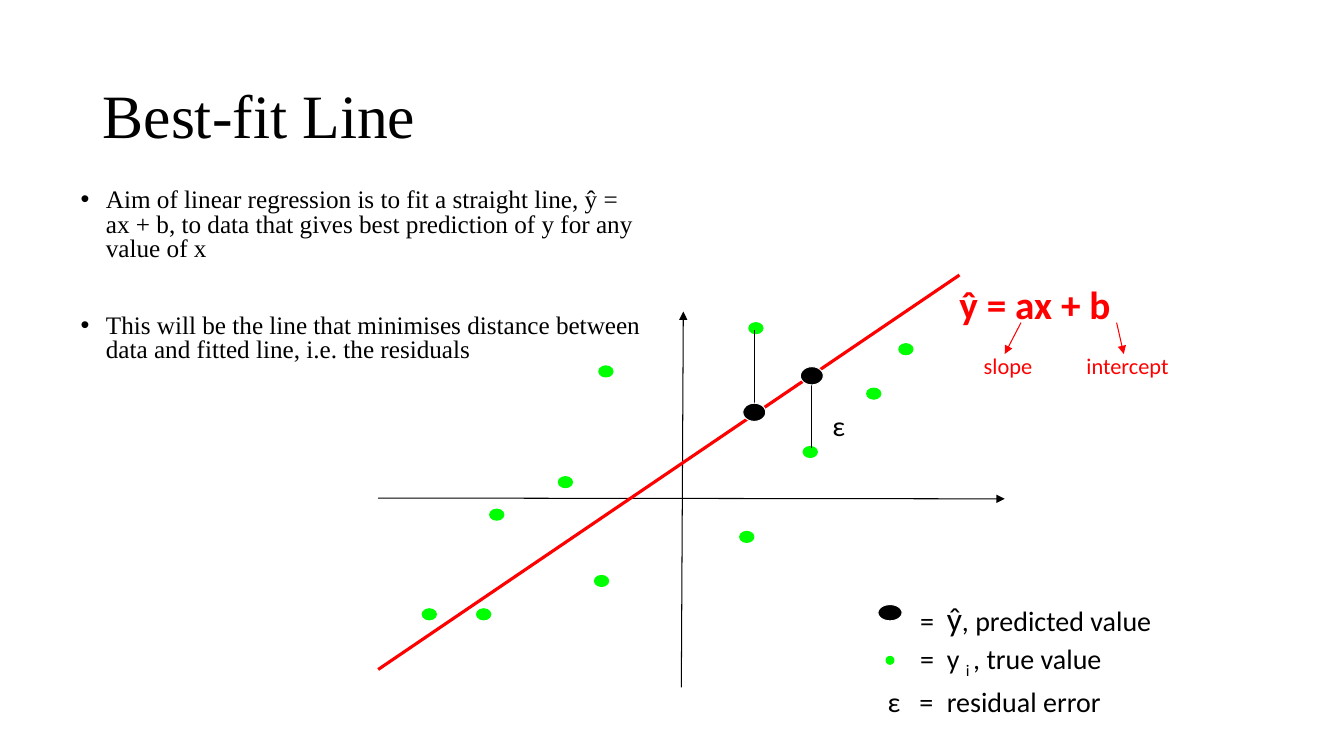
from typing import NamedTuple

from lxml.etree import SubElement
from pptx import Presentation
from pptx.dml.color import RGBColor
from pptx.enum.shapes import MSO_CONNECTOR, MSO_SHAPE
from pptx.enum.text import MSO_ANCHOR
from pptx.oxml.ns import qn
from pptx.util import Cm, Pt

COLORS = {"black": "000000", "white": "FFFFFF", "green": "00FF00", "red": "FF0000"}
SERIF, SANS = "Times New Roman", "Calibri"


class Line(NamedTuple):
    start: tuple[float, float]
    end: tuple[float, float]
    color: str = "black"
    width: float = 0.75
    arrow: bool = False


class Dot(NamedTuple):
    """An ellipse given by its centre and size in centimetres."""
    x: float
    y: float
    width: float
    height: float
    fill: str
    outline: str


class Run(NamedTuple):
    text: str
    size: float = 20
    baseline: int = 0


class Label(NamedTuple):
    box: tuple[float, float, float, float]
    runs: list[Run]
    color: str = "black"
    font: str = SANS
    bold: bool = False
    wrap: bool = True
    anchor: MSO_ANCHOR = MSO_ANCHOR.TOP
    tabs: tuple[float, ...] = ()


TRUE_VALUES = [
    (22.83, 8.8), (15.16, 14.64), (12.52, 12.97), (10.82, 15.48),
    (20.42, 11.39), (18.82, 13.53), (22.02, 9.92), (12.19, 15.48),
    (19.05, 8.27), (14.25, 12.15), (15.27, 9.36),
]
PREDICTED_VALUES = [(19.01, 10.39), (20.46, 9.47)]
LEGEND_X = 22.43

AXES = [
    Line((17.17, 17.32), (17.22, 7.85), arrow=True),
    Line((9.53, 12.55), (25.32, 12.57), arrow=True),
]
FIT_AND_RESIDUALS = [
    Line((24.18, 6.93), (9.53, 16.87), "red", 2.25),
    Line((20.45, 11.3), (20.45, 9.47)),
    Line((19.02, 8.31), (19.02, 10.39)),
]
FORMULA_ARROWS = [
    Line((25.73, 8.13), (25.32, 8.92), "red", arrow=True),
    Line((28.14, 8.13), (28.32, 8.92), "red", arrow=True),
]
TRUE_DOTS = [Dot(x, y, 0.36, 0.28, "green", "green") for x, y in TRUE_VALUES]
PREDICTED_DOTS = [Dot(x, y, 0.58, 0.46, "black", "white") for x, y in PREDICTED_VALUES]
LEGEND_DOTS = [
    Dot(LEGEND_X, 15.44, 0.61, 0.41, "black", "white"),
    Dot(LEGEND_X, 16.64, 0.2, 0.2, "green", "green"),
]

LABELS = [
    Label((2.34, 1.02, 29.21, 3.68), [Run("Best-fit Line", 44)],
          font=SERIF, anchor=MSO_ANCHOR.MIDDLE),
    Label((23.93, 6.93, 5.21, 1.45), [Run("ŷ = ax + b", 28)], "red", bold=True),
    Label((24.54, 8.74, 1.75, 0.94), [Run("slope", 16)], "red", wrap=False),
    Label((27.13, 8.74, 2.62, 0.94), [Run("intercept", 16)], "red", wrap=False),
    Label((20.73, 10.16, 0.86, 0.91), [Run("ε")]),
    Label((22.94, 14.94, 7.19, 0.94),
          [Run("=\t"), Run("ŷ", 24), Run(", predicted value")], tabs=(0.67,)),
    Label((22.94, 16.05, 6.15, 0.66),
          [Run("=\ty "), Run("i ", baseline=-25000), Run(", true value")], tabs=(0.67,)),
    Label((22.12, 17.12, 6.91, 1.07), [Run("ε\t=\tresidual error")], tabs=(0.8, 1.49)),
]

BULLETS = [
    "Aim of linear regression is to fit a straight line, ŷ = ax + b, to data "
    "that gives best prediction of y for any value of x",
    "This will be the line that minimises distance between data and fitted line, "
    "i.e. the residuals",
]
BULLET_GAPS = [10, 38]


def rgb(name: str) -> RGBColor:
    return RGBColor.from_string(COLORS[name])


def add_line(slide, line: Line) -> None:
    connector = slide.shapes.add_connector(
        MSO_CONNECTOR.STRAIGHT, *map(Cm, line.start + line.end))
    connector.line.color.rgb = rgb(line.color)
    connector.line.width = Pt(line.width)
    if line.arrow:
        SubElement(connector.line._get_or_add_ln(), qn("a:tailEnd"), type="triangle")
    SubElement(connector._element.spPr, qn("a:effectLst"))


def add_dot(slide, dot: Dot) -> None:
    shape = slide.shapes.add_shape(
        MSO_SHAPE.OVAL, Cm(dot.x - dot.width / 2), Cm(dot.y - dot.height / 2),
        Cm(dot.width), Cm(dot.height))
    shape.shadow.inherit = False
    shape.fill.solid()
    shape.fill.fore_color.rgb = rgb(dot.fill)
    shape.line.color.rgb = rgb(dot.outline)
    shape.line.width = Pt(0.75)


def format_run(run, size: float, font: str, color: str, bold: bool = False) -> None:
    run.font.size = Pt(size)
    run.font.name = font
    run.font.bold = bold
    run.font.color.rgb = rgb(color)


def add_label(slide, label: Label) -> None:
    text_frame = slide.shapes.add_textbox(*map(Cm, label.box)).text_frame
    text_frame.word_wrap = label.wrap
    text_frame.vertical_anchor = label.anchor
    paragraph = text_frame.paragraphs[0]
    if label.tabs:
        tab_list = SubElement(paragraph._p.get_or_add_pPr(), qn("a:tabLst"))
        for position in label.tabs:
            SubElement(tab_list, qn("a:tab"), pos=str(Cm(position)), algn="l")
    for part in label.runs:
        run = paragraph.add_run()
        run.text = part.text
        format_run(run, part.size, label.font, label.color, label.bold)
        if part.baseline:
            run._r.get_or_add_rPr().set("baseline", str(part.baseline))


def add_bullets(slide) -> None:
    text_frame = slide.shapes.add_textbox(Cm(1.78), Cm(4.65), Cm(14.66), Cm(5.41)).text_frame
    text_frame.word_wrap = True
    text_frame.text = "\n".join(BULLETS)
    for paragraph, gap in zip(text_frame.paragraphs, BULLET_GAPS):
        paragraph.line_spacing = 0.8
        paragraph.space_before = Pt(gap)
        properties = paragraph._p.get_or_add_pPr()
        properties.set("marL", str(Cm(0.64)))
        properties.set("indent", str(Cm(-0.64)))
        SubElement(properties, qn("a:buFont"), typeface="Arial")
        SubElement(properties, qn("a:buChar"), char="•")
        format_run(paragraph.runs[0], 18, SERIF, "black")


def main() -> None:
    presentation = Presentation()
    presentation.slide_width, presentation.slide_height = Cm(33.87), Cm(19.05)
    slide = presentation.slides.add_slide(presentation.slide_layouts[6])
    add_bullets(slide)
    for line in AXES:
        add_line(slide, line)
    for dot in TRUE_DOTS:
        add_dot(slide, dot)
    for line in FIT_AND_RESIDUALS + FORMULA_ARROWS:
        add_line(slide, line)
    for dot in PREDICTED_DOTS + LEGEND_DOTS:
        add_dot(slide, dot)
    for label in LABELS:
        add_label(slide, label)
    presentation.save("out.pptx")


if __name__ == "__main__":
    main()
